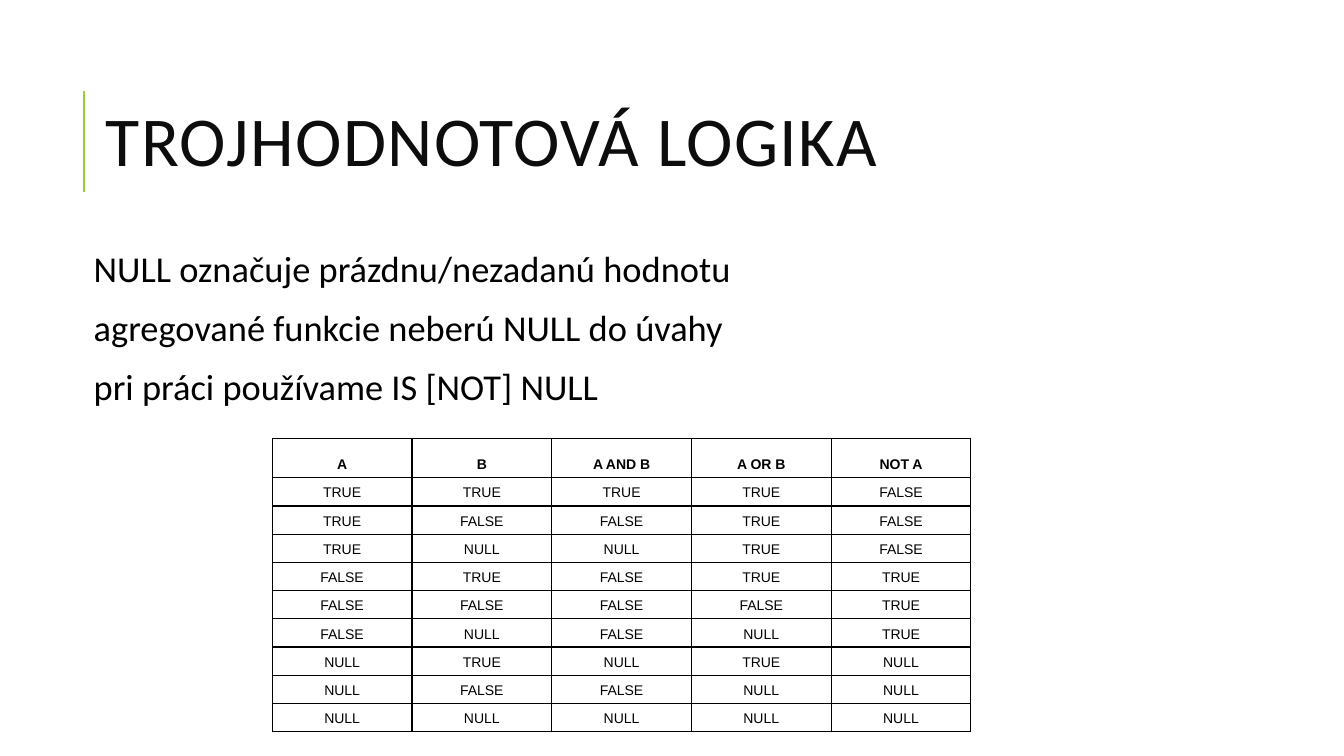
from lxml.etree import SubElement
from pptx import Presentation
from pptx.dml.color import RGBColor
from pptx.enum.shapes import MSO_CONNECTOR
from pptx.enum.text import MSO_ANCHOR, PP_ALIGN
from pptx.oxml import parse_xml
from pptx.oxml.ns import nsdecls, qn
from pptx.util import Inches, Pt

TITLE = "TROJHODNOTOVÁ LOGIKA"
POINTS = [
    "NULL označuje prázdnu/nezadanú hodnotu",
    "agregované funkcie neberú NULL do úvahy",
    "pri práci používame IS [NOT] NULL",
]
TRUTH_TABLE = [
    ["A", "B", "A AND B", "A OR B", "NOT A"],
    ["TRUE", "TRUE", "TRUE", "TRUE", "FALSE"],
    ["TRUE", "FALSE", "FALSE", "TRUE", "FALSE"],
    ["TRUE", "NULL", "NULL", "TRUE", "FALSE"],
    ["FALSE", "TRUE", "FALSE", "TRUE", "TRUE"],
    ["FALSE", "FALSE", "FALSE", "FALSE", "TRUE"],
    ["FALSE", "NULL", "FALSE", "NULL", "TRUE"],
    ["NULL", "TRUE", "NULL", "TRUE", "NULL"],
    ["NULL", "FALSE", "FALSE", "NULL", "NULL"],
    ["NULL", "NULL", "NULL", "NULL", "NULL"],
]
BLACK = "000000"


def rgb(color):
    return RGBColor.from_string(color)


def set_attributes(target, values):
    for name, value in values.items():
        setattr(target, name, value)


def format_font(font, name, size, color, bold=False):
    set_attributes(font, {"name": name, "size": Pt(size), "bold": bold})
    font.color.rgb = rgb(color)


def add_accent_line(slide, x, top, bottom, color):
    line = slide.shapes.add_connector(
        MSO_CONNECTOR.STRAIGHT, Inches(x), Inches(bottom), Inches(x), Inches(top)
    )
    line.line.color.rgb = rgb(color)
    line.line.width = Pt(1.5)
    SubElement(line._element.spPr, qn("a:effectLst"))


def add_text(slide, box, lines, size, color, frame_format, paragraph_format, tracking=0):
    frame = slide.shapes.add_textbox(*map(Inches, box)).text_frame
    set_attributes(frame, {"word_wrap": True, **frame_format})
    for index, line in enumerate(lines):
        paragraph = frame.paragraphs[0] if index == 0 else frame.add_paragraph()
        set_attributes(paragraph, paragraph_format)
        if index == 0:
            paragraph.space_before = Pt(0)
        run = paragraph.add_run()
        run.text = line
        format_font(run.font, "Calibri", size, color)
        if tracking:
            run.font._element.set("spc", str(tracking * 100))


def add_borders(cell, color, width):
    properties = cell._tc.get_or_add_tcPr()
    for index, side in enumerate(["lnL", "lnR", "lnT", "lnB"]):
        border = parse_xml(
            f'<a:{side} {nsdecls("a")} w="{Pt(width)}"><a:solidFill>'
            f'<a:srgbClr val="{color}"/></a:solidFill></a:{side}>'
        )
        properties.insert(index, border)


def fill_cell(cell, text, bold):
    cell.fill.background()
    add_borders(cell, BLACK, 1)
    cell.vertical_anchor = MSO_ANCHOR.BOTTOM
    paragraph = cell.text_frame.paragraphs[0]
    paragraph.alignment = PP_ALIGN.CENTER
    run = paragraph.add_run()
    run.text = text
    format_font(run.font, "Arial", 10, BLACK, bold)


def add_truth_table(slide, box, rows, header_height, row_height):
    shape = slide.shapes.add_table(len(rows), len(rows[0]), *map(Inches, box))
    table = shape.table
    set_attributes(table, {"first_row": False, "horz_banding": False})
    for row_index, values in enumerate(rows):
        is_header = row_index == 0
        table.rows[row_index].height = Inches(header_height if is_header else row_height)
        for column_index, value in enumerate(values):
            fill_cell(table.cell(row_index, column_index), value, is_header)


def main():
    presentation = Presentation()
    set_attributes(
        presentation, {"slide_width": Inches(13.33), "slide_height": Inches(7.5)}
    )
    slide = presentation.slides.add_slide(presentation.slide_layouts[6])
    add_accent_line(slide, 0.83, 0.9, 1.9, "99CB38")
    add_text(
        slide, (0.78, 0.74, 11, 1.42), [TITLE], 50, "0D0D0D",
        {"vertical_anchor": MSO_ANCHOR.MIDDLE, "margin_left": Inches(0.27)},
        {"line_spacing": 0.8},
        tracking=1,
    )
    add_text(
        slide, (0.78, 2.44, 8.2, 4.82), POINTS, 26, BLACK,
        {"margin_left": Inches(0.15), "margin_right": Inches(0.05)},
        {"line_spacing": 0.9, "space_before": Pt(12), "space_after": Pt(2)},
    )
    add_truth_table(slide, (2.7, 4.35, 6.93, 2.91), TRUTH_TABLE, 0.39, 0.28)
    presentation.save("out.pptx")


if __name__ == "__main__":
    main()
